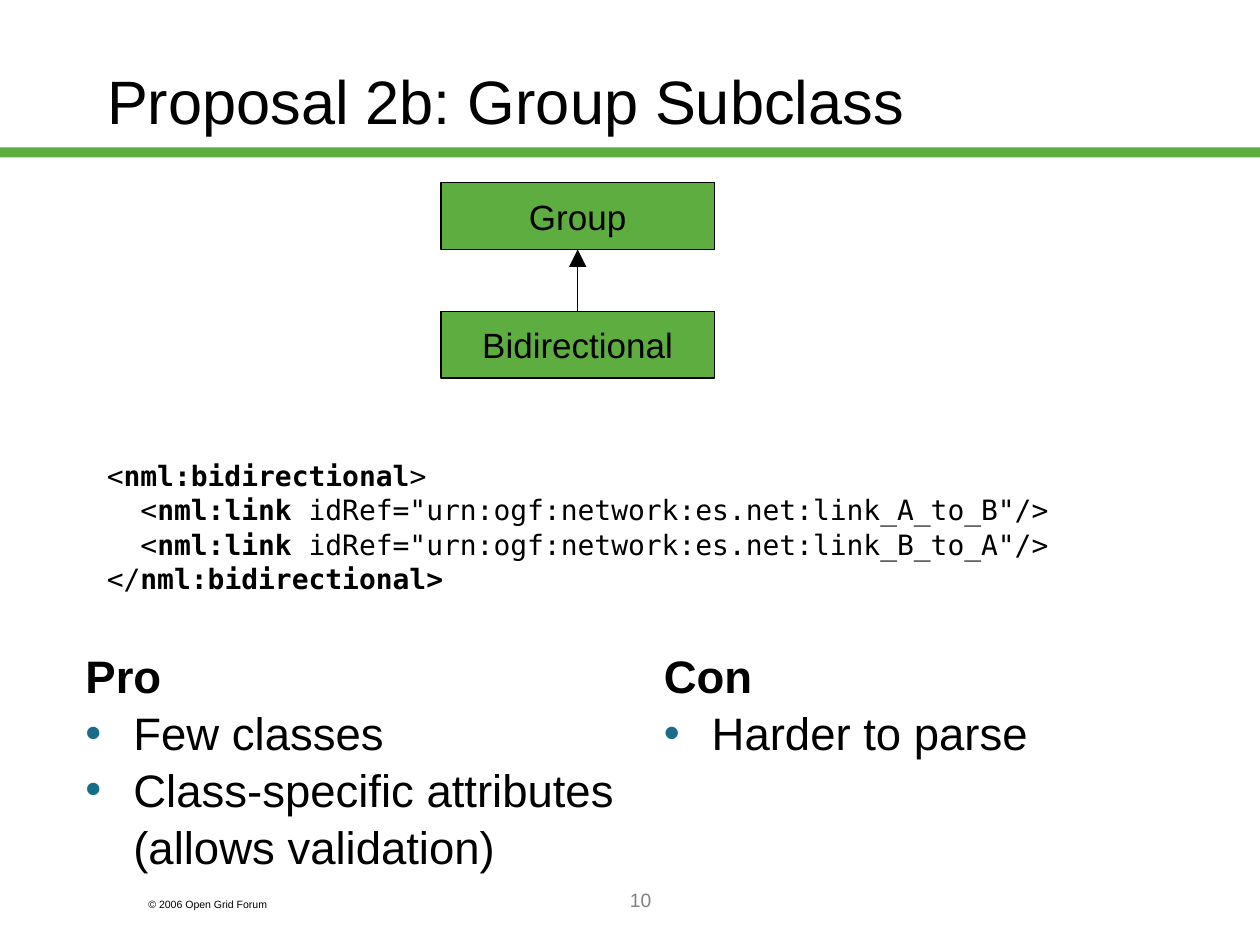
import pptx
import pptx.dml.color
import pptx.enum.shapes
import pptx.enum.text
import pptx.oxml
import pptx.oxml.ns
import pptx.util
from pptx.util import Inches

RGBColor = pptx.dml.color.RGBColor
BLACK = RGBColor(0x00, 0x00, 0x00)
GREEN = RGBColor(0x5D, 0xAD, 0x41)
GREY = RGBColor(0x80, 0x80, 0x80)
TEAL = RGBColor(0x17, 0x6D, 0x89)

ALIGN = pptx.enum.text.PP_ALIGN
ANCHOR = pptx.enum.text.MSO_ANCHOR
HANGING = Inches(0.38)


class SlideBuilder:
    formats = {
        "title": {"name": "Arial", "size": pptx.util.Pt(35)},
        "class": {"name": "Arial", "size": pptx.util.Pt(20)},
        "code": {"name": "DejaVu Sans Mono", "size": pptx.util.Pt(16)},
        "body": {"name": "Arial", "size": pptx.util.Pt(26)},
        "footer": {"name": "Arial", "size": pptx.util.Pt(6)},
        "number": {"name": "Arial", "size": pptx.util.Pt(11)},
    }

    def __init__(self, slide):
        self.slide = slide

    def style(self, font, role, color=BLACK, bold=False):
        for attribute, value in {**self.formats[role], "bold": bold}.items():
            setattr(font, attribute, value)
        font.color.rgb = color

    def add_drawing_element(self, parent, xml):
        namespace = pptx.oxml.ns.nsdecls("a")
        parent.append(pptx.oxml.parse_xml(xml.replace("/>", f" {namespace}/>", 1)))

    def title(self, text, left, top, width, height):
        heading = self.slide.shapes.title
        position = {"left": left, "top": top, "width": width, "height": height}
        for attribute, value in position.items():
            setattr(heading, attribute, value)
        frame = heading.text_frame
        frame.text = text
        frame.auto_size = pptx.enum.text.MSO_AUTO_SIZE.NONE
        frame.vertical_anchor = ANCHOR.MIDDLE
        frame.paragraphs[0].alignment = ALIGN.LEFT
        self.style(frame.paragraphs[0].runs[0].font, "title")

    def rectangle(self, left, top, width, height):
        box = self.slide.shapes.add_shape(
            pptx.enum.shapes.MSO_SHAPE.RECTANGLE, left, top, width, height)
        box.shadow.inherit = False
        box.fill.solid()
        box.fill.fore_color.rgb = GREEN
        box.line.fill.background()
        return box

    def class_box(self, text, left, top, width, height):
        box = self.rectangle(left, top, width, height)
        box.line.color.rgb = BLACK
        box.line.width = pptx.util.Pt(0.75)
        frame = box.text_frame
        frame.text = text
        frame.word_wrap = False
        frame.vertical_anchor = ANCHOR.MIDDLE
        frame.paragraphs[0].alignment = ALIGN.CENTER
        self.style(frame.paragraphs[0].runs[0].font, "class")
        return box

    def inheritance_arrow(self, subclass, parent):
        arrow = self.slide.shapes.add_connector(
            pptx.enum.shapes.MSO_CONNECTOR.STRAIGHT, 0, 0, 0, 0)
        arrow.begin_connect(subclass, 0)
        arrow.end_connect(parent, 2)
        arrow.line.color.rgb = BLACK
        arrow.line.width = pptx.util.Pt(0.75)
        self.add_drawing_element(
            arrow.line._get_or_add_ln(), '<a:tailEnd type="triangle" w="lg" len="lg"/>')
        self.add_drawing_element(arrow._element.spPr, "<a:effectLst/>")

    def text_frame(self, left, top, width, height):
        frame = self.slide.shapes.add_textbox(left, top, width, height).text_frame
        frame.word_wrap = True
        return frame

    def label(self, text, role, color, alignment, left, top, width, height):
        paragraph = self.text_frame(left, top, width, height).paragraphs[0]
        paragraph.text = text
        paragraph.alignment = alignment
        self.style(paragraph.runs[0].font, role, color)

    def paragraphs(self, frame, count, line_spacing):
        for index in range(count):
            paragraph = frame.paragraphs[0] if index == 0 else frame.add_paragraph()
            paragraph.line_spacing = line_spacing
            properties = paragraph._p.get_or_add_pPr()
            properties.set("marL", str(HANGING))
            properties.set("indent", str(-HANGING))
            yield paragraph

    def code(self, lines, left, top, width, height):
        frame = self.text_frame(left, top, width, height)
        for line, paragraph in zip(lines, self.paragraphs(frame, len(lines), 1.03)):
            for index, text in enumerate(line):
                run = paragraph.add_run()
                run.text = text
                self.style(run.font, "code", bold=index == 1)

    def argument(self, heading, points, left, top, width, height):
        frame = self.text_frame(left, top, width, height)
        texts = [heading, *points]
        for text, paragraph in zip(texts, self.paragraphs(frame, len(texts), 1.04)):
            is_heading = text == heading
            if not is_heading:
                properties = paragraph._p.get_or_add_pPr()
                properties.append(pptx.oxml.parse_xml(
                    f'<a:buClr {pptx.oxml.ns.nsdecls("a")}><a:srgbClr val="{TEAL}"/></a:buClr>'))
                self.add_drawing_element(properties, '<a:buFont typeface="Arial"/>')
                self.add_drawing_element(properties, '<a:buChar char="•"/>')
            run = paragraph.add_run()
            run.text = text
            self.style(run.font, "body", bold=is_heading)


def main():
    presentation = pptx.Presentation()
    presentation.slide_width = Inches(10)
    presentation.slide_height = Inches(7.5)
    builder = SlideBuilder(presentation.slides.add_slide(presentation.slide_layouts[5]))

    builder.rectangle(0, Inches(1.17), Inches(10), Inches(0.08))
    builder.label("© 2006 Open Grid Forum", "footer", BLACK, ALIGN.LEFT,
                  Inches(1.08), Inches(7.08), Inches(1.5), Inches(0.2))
    builder.title("Proposal 2b: Group Subclass",
                  Inches(0.75), Inches(0.17), Inches(8.5), Inches(1.25))
    builder.label("10", "number", GREY, ALIGN.CENTER,
                  Inches(2.17), Inches(7), Inches(5.83), Inches(0.5))

    group, bidirectional = [
        builder.class_box(name, Inches(3.5), Inches(top), Inches(2.17), Inches(0.53))
        for name, top in (("Group", 1.45), ("Bidirectional", 2.47))
    ]
    builder.inheritance_arrow(bidirectional, group)

    links = [
        ("  <", "nml:link ", f'idRef="urn:ogf:network:es.net:link_{direction}"/>')
        for direction in ("A_to_B", "B_to_A")
    ]
    builder.code(
        [("<", "nml:bidirectional", ">"), *links, ("</", "nml:bidirectional>")],
        Inches(0.75), Inches(3.58), Inches(8.5), Inches(1.5))

    builder.argument(
        "Pro", ["Few classes", "Class-specific attributes (allows validation)"],
        Inches(0.58), Inches(5.08), Inches(4.42), Inches(2.08))
    builder.argument(
        "Con", ["Harder to parse"],
        Inches(5.17), Inches(5.08), Inches(4.25), Inches(2.08))

    presentation.save("out.pptx")


if __name__ == "__main__":
    main()
